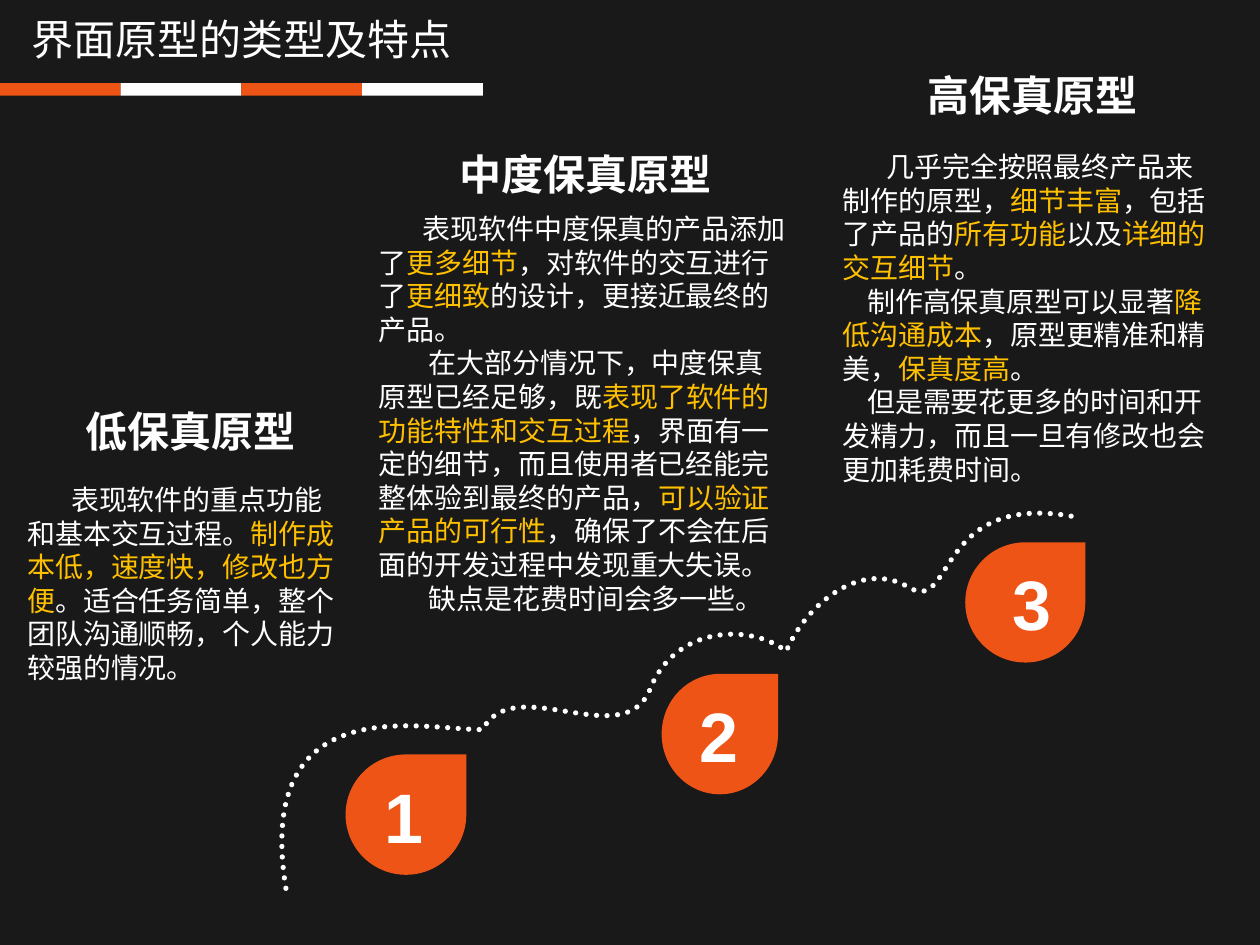
"""Build the slide on the types and traits of interface prototypes."""
from lxml import etree
from pptx import Presentation
from pptx import util as u
from pptx.dml.color import RGBColor
from pptx.enum import dml, shapes, text
from pptx.oxml import ns

DARK = RGBColor(0x19, 0x19, 0x19)
WHITE = RGBColor(0xFF, 0xFF, 0xFF)
ORANGE = RGBColor(0xEE, 0x54, 0x16)
GOLD = RGBColor(0xFF, 0xC0, 0x00)


class Painter:
    latin = "Arial"
    east_asian = "Noto Sans CJK SC"

    def __init__(self, slide):
        self.slide = slide
        slide.background.fill.solid()
        slide.background.fill.fore_color.rgb = DARK

    def solid(self, kind, box, color):
        shape = self.slide.shapes.add_shape(kind, *map(u.Pt, box))
        shape.shadow.inherit = False
        shape.fill.solid()
        shape.fill.fore_color.rgb = color
        shape.line.fill.background()

    def frame(self, box, anchor, wrap=True):
        frame = self.slide.shapes.add_textbox(*map(u.Pt, box)).text_frame
        frame.word_wrap = wrap
        frame.vertical_anchor = anchor
        return frame

    def run(self, paragraph, words, size, color=WHITE, bold=False):
        run = paragraph.add_run()
        run.text = words
        run.font.size = u.Pt(size)
        run.font.name = self.latin
        run.font.bold = bold
        run.font.color.rgb = color
        east = etree.SubElement(run.font._element, ns.qn("a:ea"))
        east.set("typeface", self.east_asian)

    def label(self, box, words, size, anchor, bold=True, wrap=True):
        paragraph = self.frame(box, anchor, wrap).paragraphs[0]
        paragraph.alignment = text.PP_ALIGN.CENTER
        self.run(paragraph, words, size, bold=bold)

    def body(self, box, paragraphs):
        frame = self.frame(box, text.MSO_ANCHOR.TOP)
        for index, (indent, *phrases) in enumerate(paragraphs):
            paragraph = frame.add_paragraph() if index else frame.paragraphs[0]
            paragraph.line_spacing = u.Pt(19.2)
            paragraph._p.get_or_add_pPr().set("indent", str(u.Pt(indent)))
            for place, phrase in enumerate(phrases):
                self.run(paragraph, phrase, 16, GOLD if place % 2 else WHITE)

    def dotted_curve(self, start, controls):
        builder = self.slide.shapes.build_freeform(*map(u.Pt, start))
        builder.add_line_segments([tuple(map(u.Pt, point)) for point in controls], close=False)
        curve = builder.convert_to_shape()
        curve.shadow.inherit = False
        curve.fill.background()
        curve.line.color.rgb = WHITE
        curve.line.width = u.Pt(3)
        curve.line.dash_style = dml.MSO_LINE.ROUND_DOT
        curve.line._get_or_add_ln().set("cap", "rnd")
        outline = curve._element.find(".//" + ns.qn("a:path"))
        segments = outline.findall(ns.qn("a:lnTo"))
        for first in range(0, len(segments), 3):
            bezier = etree.SubElement(outline, ns.qn("a:cubicBezTo"))
            for segment in segments[first:first + 3]:
                bezier.append(segment[0])
                outline.remove(segment)


STEPS = [
    ("低保真原型", (20.2, 222.5, 177.8, 41.8), (8.6, 272.2, 198.7, 128.2), [
        (25, "表现软件的重点功能和基本交互过程。", "制作成本低，速度快，修改也方便",
         "。适合任务简单，整个团队沟通顺畅，个人能力较强的情况。"),
    ], (197.5, 431.1, 69, 68.8), (198.7, 433.4, 64.1, 64.8)),
    ("中度保真原型", (226.1, 75.6, 217.4, 41.8), (209.5, 117.4, 249.1, 243.4), [
        (25, "表现软件中度保真的产品添加了", "更多细节", "，对软件的交互进行了",
         "更细致", "的设计，更接近最终的产品。"),
        (28.5, "在大部分情况下，中度保真原型已经足够，既", "表现了软件的功能特性和交互过程",
         "，界面有一定的细节，而且使用者已经能完整体验到最终的产品，", "可以验证产品的可行性",
         "，确保了不会在后面的开发过程中发现重大失误。"),
        (28.5, "缺点是花费时间会多一些。"),
    ], (378.1, 385.1, 66.5, 68.8), (379.4, 385.2, 63.4, 69.1)),
    ("高保真原型", (478.8, 30.2, 222.5, 41.8), (474.5, 82.1, 222.5, 203.8), [
        (25, "几乎完全按照最终产品来制作的原型，", "细节丰富", "，包括了产品的",
         "所有功能", "以及", "详细的交互细节", "。"),
        (14, "制作高保真原型可以显著", "降低沟通成本", "，原型更精准和精美，", "保真度高", "。"),
        (14, "但是需要花更多的时间和开发精力，而且一旦有修改也会更加耗费时间。"),
    ], (551.6, 309.9, 68.6, 68.7), (558, 311.8, 63.4, 64.8)),
]
TRAIL_START = (163.4, 507.6)
TRAIL = [
    (144.7, 391), (244.1, 417.6), (275.8, 416.9),
    (293.8, 383), (356.4, 431.3), (371.5, 393.8),
    (385.9, 357.1), (429.8, 356.4), (449.3, 372.2),
    (460.8, 344.9), (492.5, 319.7), (519.1, 335.5),
    (545.8, 352.1), (533.5, 278.6), (617, 295.9),
]


def main():
    deck = Presentation()
    deck.slide_width, deck.slide_height = u.Pt(720), u.Pt(540)
    painter = Painter(deck.slides.add_slide(deck.slide_layouts[6]))
    stripe = 69
    for index, color in enumerate((ORANGE, WHITE) * 2):
        painter.solid(shapes.MSO_SHAPE.RECTANGLE, (index * stripe, 47.5, stripe, 7.2), color)
    painter.label((0, 0, 276, 44.6), "界面原型的类型及特点", 24, text.MSO_ANCHOR.MIDDLE, bold=False)
    painter.dotted_curve(TRAIL_START, TRAIL)
    for number, (heading, heading_box, body_box, paragraphs, drop, number_box) in enumerate(STEPS, 1):
        painter.solid(shapes.MSO_SHAPE.TEAR, drop, ORANGE)
        painter.label(heading_box, heading, 24, text.MSO_ANCHOR.BOTTOM)
        painter.body(body_box, paragraphs)
        painter.label(number_box, str(number), 40, text.MSO_ANCHOR.MIDDLE, wrap=False)
    deck.save("out.pptx")


if __name__ == "__main__":
    main()
